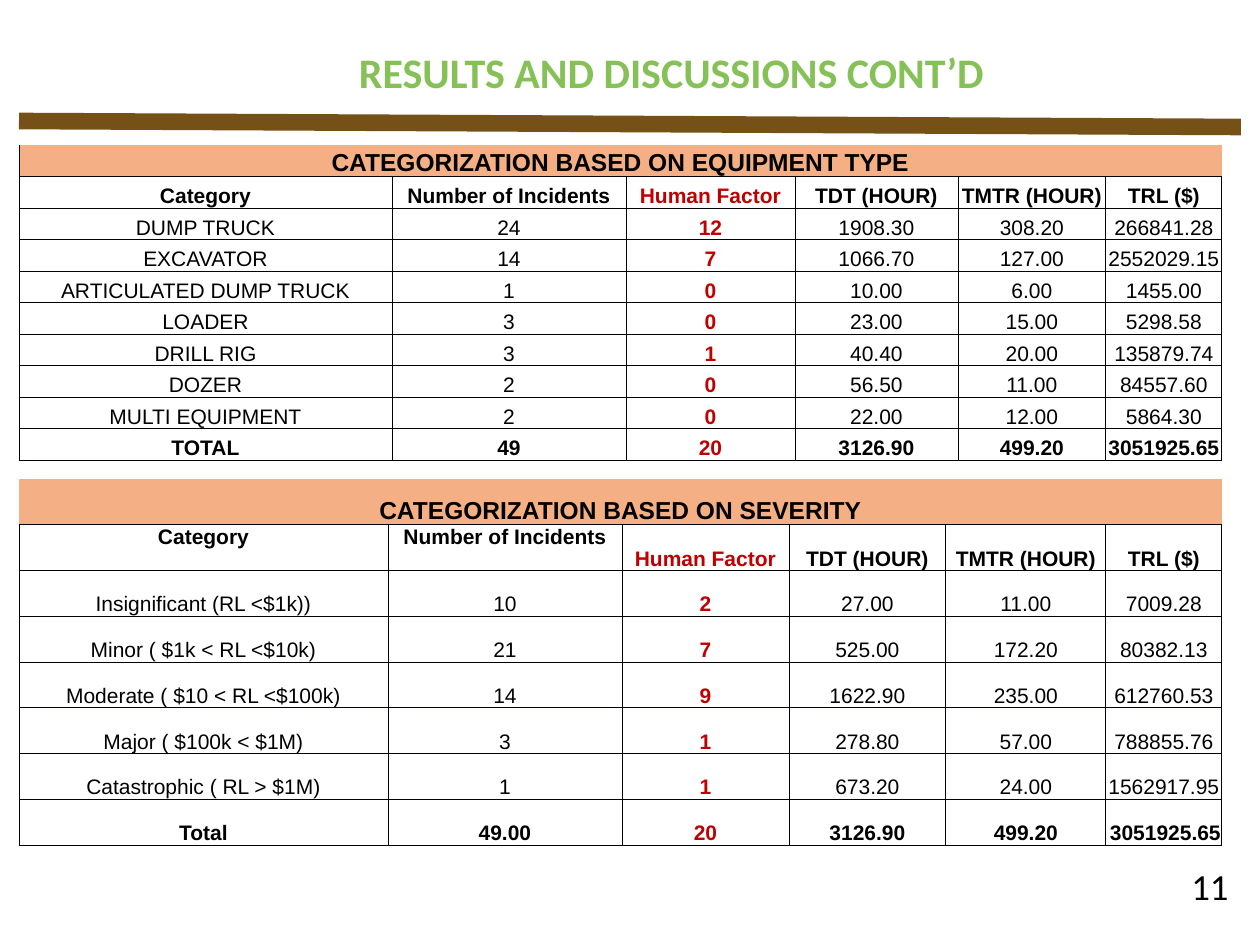
import lxml.etree
import pptx
import pptx.dml.color
import pptx.enum.shapes
import pptx.enum.text
import pptx.oxml.ns
import pptx.util

PX = 914400 / 126
INK = {"white": "FFFFFF", "black": "000000", "green": "86C157", "brown": "755017",
       "peach": "F4B084", "red": "C00000", "grid": "000008"}
ALIGN = pptx.enum.text.PP_ALIGN
ANCHOR = pptx.enum.text.MSO_ANCHOR
qn = pptx.oxml.ns.qn

HEADS = ["Category", "Number of Incidents", "Human Factor",
         "TDT (HOUR)", "TMTR (HOUR)", "TRL ($)"]
TYPES = [
    ["DUMP TRUCK", "24", "12", "1908.30", "308.20", "266841.28"],
    ["EXCAVATOR", "14", "7", "1066.70", "127.00", "2552029.15"],
    ["ARTICULATED DUMP TRUCK", "1", "0", "10.00", "6.00", "1455.00"],
    ["LOADER", "3", "0", "23.00", "15.00", "5298.58"],
    ["DRILL RIG", "3", "1", "40.40", "20.00", "135879.74"],
    ["DOZER", "2", "0", "56.50", "11.00", "84557.60"],
    ["MULTI EQUIPMENT", "2", "0", "22.00", "12.00", "5864.30"],
    ["TOTAL", "49", "20", "3126.90", "499.20", "3051925.65"],
]
LEVELS = [
    ["Insignificant (RL <$1k))", "10", "2", "27.00", "11.00", "7009.28"],
    ["Minor ( $1k < RL <$10k)", "21", "7", "525.00", "172.20", "80382.13"],
    ["Moderate ( $10 < RL <$100k)", "14", "9", "1622.90", "235.00", "612760.53"],
    ["Major ( $100k < $1M)", "3", "1", "278.80", "57.00", "788855.76"],
    ["Catastrophic ( RL > $1M)", "1", "1", "673.20", "24.00", "1562917.95"],
    ["Total", "49.00", "20", "3126.90", "499.20", "3051925.65"],
]


def px(num):
    return pptx.util.Emu(round(num * PX))


def tint(name):
    return pptx.dml.color.RGBColor.from_string(INK[name])


def style(frame, size, ink, face, bold=False, align=ALIGN.CENTER):
    for para in frame.paragraphs:
        para.alignment = align
        for run in para.runs:
            run.font.size = pptx.util.Pt(size)
            run.font.name = face
            run.font.bold = bold
            run.font.color.rgb = tint(ink)


def add_label(slide, box, text, size, ink, bold, align, anchor):
    frame = slide.shapes.add_textbox(*map(px, box)).text_frame
    frame.word_wrap = True
    frame.vertical_anchor = anchor
    frame.text = text
    style(frame, size, ink, "Calibri", bold, align)


def add_rule(slide, x1, y1, x2, y2):
    rule = slide.shapes.add_connector(
        pptx.enum.shapes.MSO_CONNECTOR.STRAIGHT, px(x1), px(y1), px(x2), px(y2))
    rule.line.color.rgb = tint("brown")
    rule.line.width = pptx.util.Pt(9.5)
    lxml.etree.SubElement(rule._element.spPr, qn("a:effectLst"))


def set_edges(cell, sides):
    """Draw the named sides (letters of LRTB) and clear the others."""
    props = cell._tc.get_or_add_tcPr()
    for spot, side in enumerate("LRTB"):
        edge = lxml.etree.Element(qn("a:ln" + side), w="6350")
        props.insert(spot, edge)
        if side in sides:
            fill = lxml.etree.SubElement(edge, qn("a:solidFill"))
            lxml.etree.SubElement(fill, qn("a:srgbClr"), val=INK["grid"])
        else:
            lxml.etree.SubElement(edge, qn("a:noFill"))


def fill_cell(cell, text, size, ink, bold, sides):
    cell.margin_left = cell.margin_right = cell.margin_top = px(1)
    cell.margin_bottom = 0
    cell.vertical_anchor = ANCHOR.BOTTOM
    cell.text = text
    style(cell.text_frame, size, ink, "Arial", bold)
    set_edges(cell, sides)


def add_grid(slide, box, widths, title, body, sides):
    """Add a table with a banner, a head row and a bold last row."""
    rows = [HEADS] + body
    count = len(rows) + 1
    table = slide.shapes.add_table(count, len(widths), *map(px, box)).table
    table.first_row = table.horz_banding = False
    for col, width in zip(table.columns, widths):
        col.width = px(width)
    for row in table.rows:
        row.height = px(box[3] / count)

    banner = table.cell(0, 0)
    banner.merge(table.cell(0, len(widths) - 1))
    fill_cell(banner, title, 14, "black", True, sides)
    banner.fill.solid()
    banner.fill.fore_color.rgb = tint("peach")
    for c in range(1, len(widths)):
        set_edges(table.cell(0, c), "B")

    for r, row in enumerate(rows, 1):
        for c, text in enumerate(row):
            cell = table.cell(r, c)
            human = c == 2
            bold = human or r in (1, count - 1)
            fill_cell(cell, text, 12, "red" if human else "black", bold, "LRTB")
            cell.fill.background()
    return table


def add_types(slide, box):
    add_grid(slide, box, [373, 234, 169, 163, 148, 116],
             "CATEGORIZATION BASED ON EQUIPMENT TYPE", TYPES, "LB")


def add_levels(slide, box):
    table = add_grid(slide, box, [369, 234, 167, 157, 160, 116],
                     "CATEGORIZATION BASED ON SEVERITY", LEVELS, "B")
    for c in range(2):
        table.cell(1, c).vertical_anchor = ANCHOR.TOP
    last = table.cell(len(LEVELS) + 1, len(HEADS) - 1)
    last.text_frame.paragraphs[0].alignment = ALIGN.RIGHT


def main():
    deck = pptx.Presentation()
    deck.slide_width, deck.slide_height = px(1260), px(945)
    slide = deck.slides.add_slide(deck.slide_layouts[6])
    slide.background.fill.solid()
    slide.background.fill.fore_color.rgb = tint("white")
    add_label(slide, (1162, 867, 79, 38), "11", 21, "black", False,
              ALIGN.RIGHT, ANCHOR.MIDDLE)
    add_label(slide, (300, 40, 743, 63), "RESULTS AND DISCUSSIONS CONT’D", 24,
              "green", True, ALIGN.CENTER, ANCHOR.TOP)
    add_rule(slide, 19, 121, 1241, 127)
    add_types(slide, (19, 145, 1203, 315))
    add_levels(slide, (19, 479, 1203, 366))
    deck.save("out.pptx")


if __name__ == "__main__":
    main()
